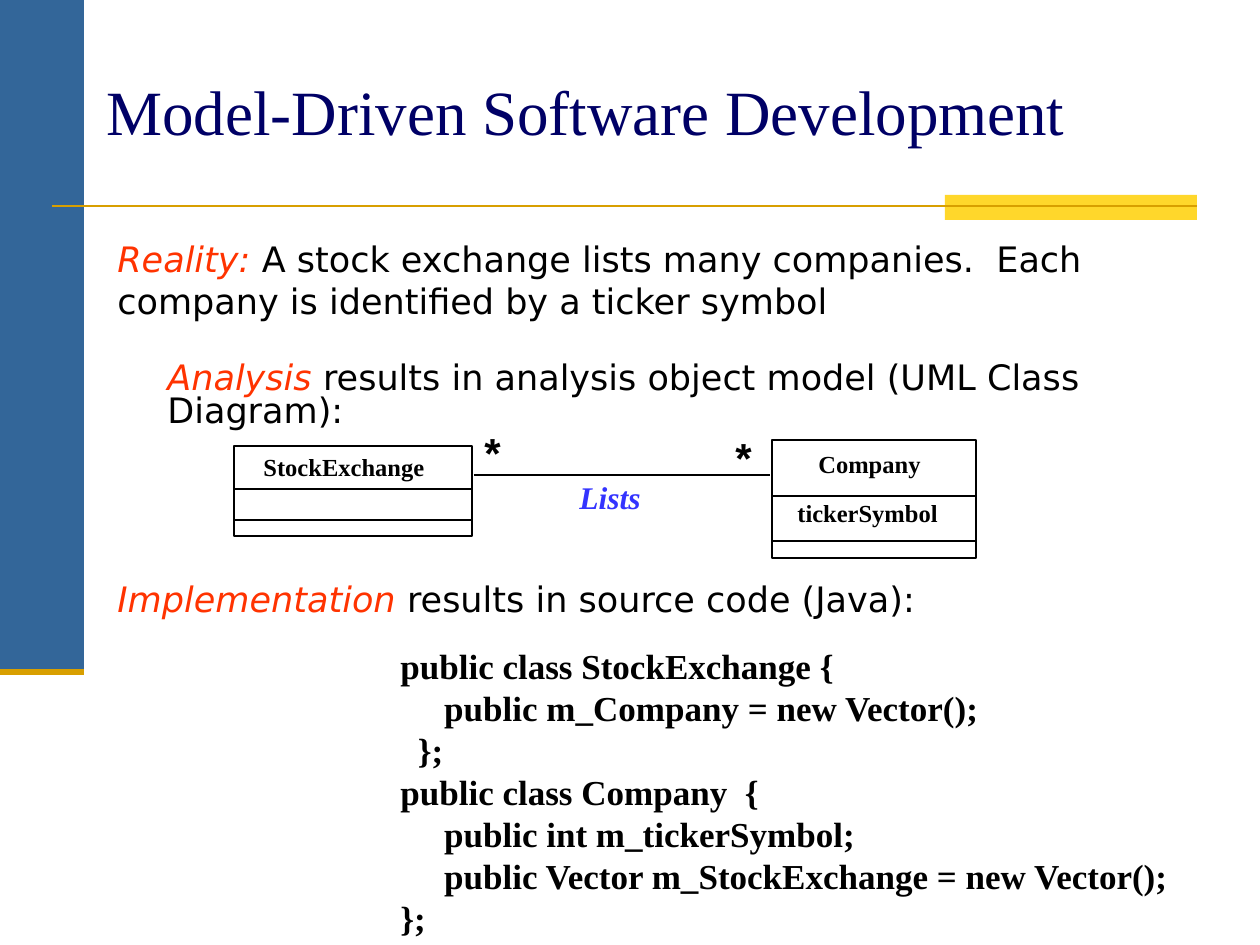
import pptx
import pptx.util
import pptx.dml.color
import pptx.enum.shapes
import pptx.enum.text
import pptx.oxml.ns
import lxml.etree

SCALE = 914400 / 126  # EMU per px

THEME = {
    "blue": "336699", "yellow": "FFD72B", "gold": "D89F00", "navy": "000066",
    "red": "FF3300", "violet": "3333FF", "black": "000000",
    "serif": "Times New Roman", "sans": "DejaVu Sans", "symbol": "Arial",
    "title": 36, "body": 20, "role": 18, "label": 14, "star": 24,
}

presentation = pptx.Presentation()
presentation.slide_width = round(1260 * SCALE)
presentation.slide_height = round(945 * SCALE)
slide = presentation.slides.add_slide(presentation.slide_layouts[6])


def color(name):
    return pptx.dml.color.RGBColor.from_string(THEME[name])


def add_text(box, lines, font, size, wrap=False, spacing=None, anchor="TOP"):
    """Each line is a list of (text, color name, other font values) runs."""
    shape = slide.shapes.add_textbox(*[round(value * SCALE) for value in box])
    frame = shape.text_frame
    frame.word_wrap = wrap
    frame.vertical_anchor = getattr(pptx.enum.text.MSO_ANCHOR, anchor)
    for index, runs in enumerate(lines):
        paragraph = frame.paragraphs[0] if index == 0 else frame.add_paragraph()
        if spacing:
            paragraph.line_spacing = spacing
        for text, color_name, values in runs:
            run = paragraph.add_run()
            run.text = text
            run.font.color.rgb = color(color_name)
            formats = {"name": THEME[font], "size": pptx.util.Pt(THEME[size]), **values}
            for key, value in formats.items():
                setattr(run.font, key, value)


# Side bar, title accent and the two class outlines
rectangles = [
    ((0, 0, 84, 672), "blue"),
    ((945, 195, 252, 25), "yellow"),
    ((234, 446, 238, 90), None),
    ((772, 440, 204, 118), None),
]
for box, fill in rectangles:
    shape = slide.shapes.add_shape(
        pptx.enum.shapes.MSO_SHAPE.RECTANGLE, *[round(value * SCALE) for value in box])
    shape.shadow.inherit = False
    if fill:
        shape.fill.solid()
        shape.fill.fore_color.rgb = color(fill)
        shape.line.fill.background()
    else:
        shape.fill.background()
        shape.line.color.rgb = color("black")
        shape.line.width = pptx.util.Pt(1)

# Horizontal rules: left, right, y, color, width in points
rules = [
    (52, 1197, 206, "gold", 1.5),
    (0, 84, 672, "gold", 3.5),
    (234, 472, 489, "black", 1),  # StockExchange compartments
    (234, 472, 520, "black", 1),
    (772, 976, 496, "black", 1),  # Company compartments
    (772, 976, 541, "black", 1),
    (474, 770, 475, "black", 1),  # association
]
for left, right, y, line_color, width in rules:
    connector = slide.shapes.add_connector(
        pptx.enum.shapes.MSO_CONNECTOR.STRAIGHT,
        *[round(value * SCALE) for value in (left, y, right, y)])
    connector.line.color.rgb = color(line_color)
    connector.line.width = pptx.util.Pt(width)
    lxml.etree.SubElement(connector._element.spPr, pptx.oxml.ns.qn("a:effectLst"))

# Title
add_text((94, 31, 1071, 158), [[("Model-Driven Software Development", "navy", {})]],
         "serif", "title", wrap=True, anchor="MIDDLE")

# Statements: box, lead word, rest, line spacing
statements = [
    ((105, 231, 1074, 96), "Reality: ",
     "A stock exchange lists many companies.  Each company is identified by a ticker symbol", None),
    ((155, 357, 1034, 45), "Analysis ",
     "results in analysis object model (UML Class Diagram):", 0.8),
    ((105, 571, 1016, 54), "Implementation ", "results in source code (Java):", None),
]
for box, lead, rest, spacing in statements:
    add_text(box, [[(lead, "red", {"italic": True}), (rest, "black", {})]],
             "sans", "body", wrap=True, spacing=spacing)

# Diagram labels
bold = {"bold": True}
labels = [
    ((251, 451, 194, 35), "StockExchange", "black", "serif", "label", bold),
    ((806, 449, 136, 35), "Company", "black", "serif", "label", bold),
    ((785, 498, 176, 35), "tickerSymbol", "black", "serif", "label", bold),
    ((567, 479, 94, 43), "Lists", "violet", "serif", "role", {**bold, "italic": True}),
    ((723, 435, 46, 53), "*", "black", "symbol", "star", bold),
    ((472, 430, 46, 53), "*", "black", "symbol", "star", bold),
]
for box, text, text_color, font, size, values in labels:
    add_text(box, [[(text, text_color, values)]], font, size, spacing=0.8)

# Source code
code = """public class StockExchange {
     public m_Company = new Vector();
  };
public class Company  {
     public int m_tickerSymbol;
     public Vector m_StockExchange = new Vector();
};"""
add_text((388, 638, 801, 307), [[(line, "black", bold)] for line in code.split("\n")],
         "serif", "body")

presentation.save("out.pptx")
